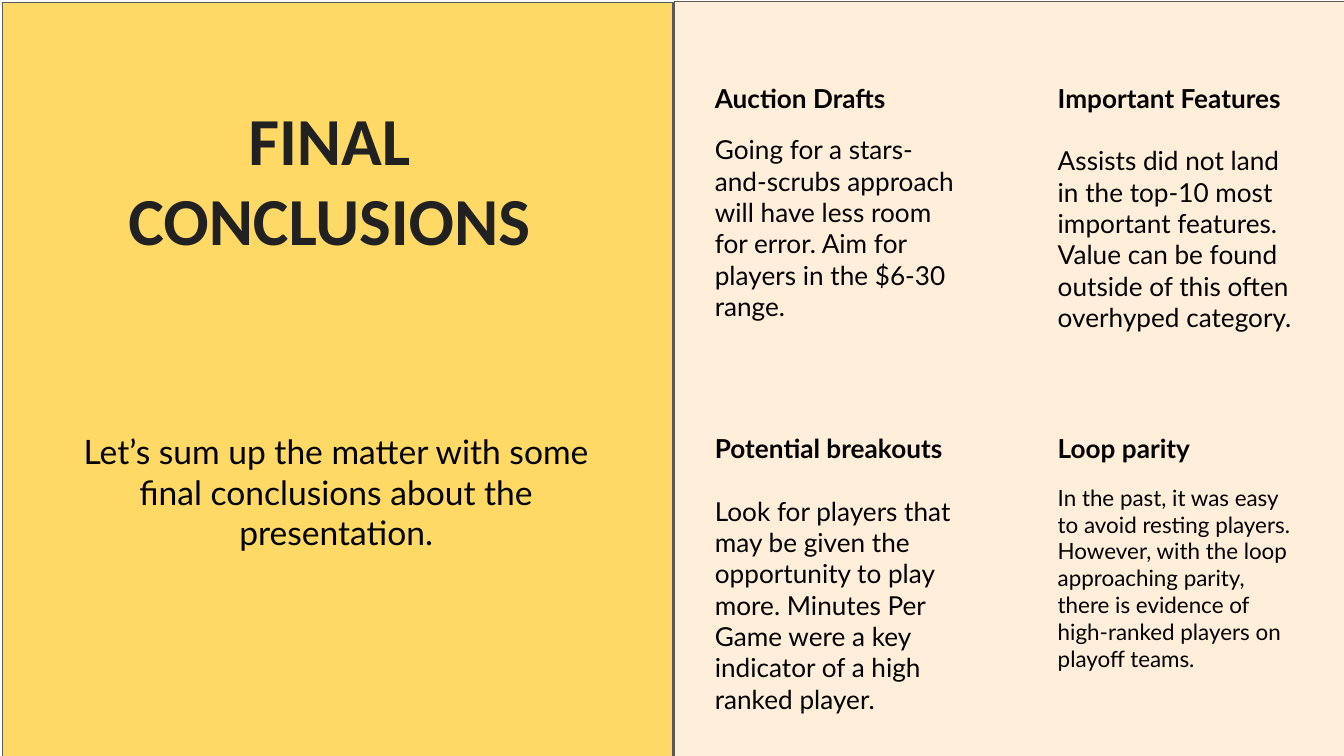
import dataclasses

import pptx
import pptx.dml.color
import pptx.enum.shapes
import pptx.enum.text
import pptx.oxml
import pptx.oxml.ns
import pptx.util

Cm = pptx.util.Cm
Pt = pptx.util.Pt
ALIGN = pptx.enum.text.PP_ALIGN
ANCHOR = pptx.enum.text.MSO_ANCHOR


@dataclasses.dataclass(frozen=True)
class Theme:
    """Colours, fonts and type sizes of the deck."""
    cream: str = "FFEED9"
    yellow: str = "FFD966"
    outline: str = "595959"
    title_ink: str = "212121"
    ink: str = "000000"
    title_font: str = "Calibri"
    text_font: str = "Lato"
    title_size: int = 36
    summary_size: int = 18
    card_size: int = 14
    small_size: int = 12
    inset: float = 0.25


def rgb(value):
    """Turn a hex string into a colour."""
    return pptx.dml.color.RGBColor.from_string(value)


class Builder:
    """Holds the theme and the current slide and draws each kind of element."""

    def __init__(self, theme, slide):
        self.theme = theme
        self.slide = slide

    def panel(self, left, top, width, height, fill):
        """Draw an outlined background panel."""
        panel = self.slide.shapes.add_shape(
            pptx.enum.shapes.MSO_SHAPE.FLOWCHART_PROCESS,
            Cm(left), Cm(top), Cm(width), Cm(height))
        panel.shadow.inherit = False
        panel.fill.solid()
        panel.fill.fore_color.rgb = rgb(fill)
        panel.line.color.rgb = rgb(self.theme.outline)
        panel.line.width = Pt(0.75)

    def frame(self, shape, box, anchor=ANCHOR.TOP):
        """Bring a text shape to the front, place it and return its text frame."""
        shape.element.getparent().append(shape.element)
        shape.left, shape.top, shape.width, shape.height = map(Cm, box)
        frame = shape.text_frame
        frame.word_wrap = True
        frame.auto_size = pptx.enum.text.MSO_AUTO_SIZE.NONE
        frame.vertical_anchor = anchor
        frame.margin_left = frame.margin_right = Cm(self.theme.inset)
        frame.margin_top = frame.margin_bottom = Cm(self.theme.inset)
        return frame

    def style(self, paragraph, size, font, ink, bold=False, align=ALIGN.LEFT, before=0):
        """Format a paragraph without bullet or indent."""
        properties = paragraph._p.get_or_add_pPr()
        properties.set("marL", "0")
        properties.set("indent", "0")
        properties.append(pptx.oxml.parse_xml(
            f"<a:buNone {pptx.oxml.ns.nsdecls('a')}/>"))
        paragraph.alignment = align
        paragraph.space_before = Pt(before)
        for run in paragraph.runs:
            run.font.size = Pt(size)
            run.font.name = font
            run.font.bold = bold
            run.font.color.rgb = rgb(ink)

    def title(self, text, box):
        """Fill the title placeholder."""
        frame = self.frame(self.slide.shapes.title, box, ANCHOR.BOTTOM)
        frame.text = text
        self.style(frame.paragraphs[0], self.theme.title_size, self.theme.title_font,
                   self.theme.title_ink, bold=True, align=ALIGN.CENTER)

    def summary(self, text, box):
        """Add the centred summary text."""
        frame = self.frame(self.slide.shapes.add_textbox(0, 0, 0, 0), box)
        frame.text = text
        self.style(frame.paragraphs[0], self.theme.summary_size, self.theme.text_font,
                   self.theme.ink, align=ALIGN.CENTER)

    def card(self, index, heading, finding, box, size, gap):
        """Fill a body placeholder with a heading and its finding."""
        frame = self.frame(self.slide.placeholders[index], box)
        frame.text = f"{heading}\n{finding}"
        first, second = frame.paragraphs
        theme = self.theme
        self.style(first, theme.card_size, theme.text_font, theme.ink, bold=True)
        self.style(second, size, theme.text_font, theme.ink, before=gap)


def main():
    """Build the conclusions slide."""
    theme = Theme()
    deck = pptx.Presentation()
    deck.slide_width, deck.slide_height = Cm(25.4), Cm(14.29)
    comparison_layout = deck.slide_layouts[4]
    builder = Builder(theme, deck.slides.add_slide(comparison_layout))

    builder.panel(12.75, 0.03, 12.67, 14.29, theme.cream)
    builder.panel(0.05, 0.05, 12.67, 14.29, theme.yellow)
    builder.title("FINAL CONCLUSIONS", (0.61, 0.2, 11.23, 4.95))
    builder.summary("Let’s sum up the matter with some final conclusions about the "
                    "presentation.", (0.74, 7.9, 11.23, 3.73))

    columns = ((13.26, 5.16), (19.74, 5.03))
    rows = (1.3, 7.92)
    narrow_gap, wide_gap = 10.8, 16.8
    findings = (
        ("Auction Drafts",
         "Going for a stars-and-scrubs approach will have less room for error. "
         "Aim for players in the $6-30 range.",
         4.95, theme.card_size, narrow_gap),
        ("Important Features",
         "Assists did not land in the top-10 most important features. "
         "Value can be found outside of this often overhyped category.",
         4.95, theme.card_size, wide_gap),
        ("Potential breakouts",
         "Look for players that may be given the opportunity to play more. "
         "Minutes Per Game were a key indicator of a high ranked player.",
         4.47, theme.card_size, wide_gap),
        ("Loop parity",
         "In the past, it was easy to avoid resting players. However, with the loop "
         "approaching parity, there is evidence of high-ranked players on playoff teams.",
         4.98, theme.small_size, narrow_gap),
    )
    for number, (heading, finding, height, size, gap) in enumerate(findings):
        row, column = divmod(number, 2)
        left, width = columns[column]
        builder.card(number + 1, heading, finding,
                     (left, rows[row], width, height), size, gap)

    deck.save("out.pptx")


if __name__ == "__main__":
    main()
